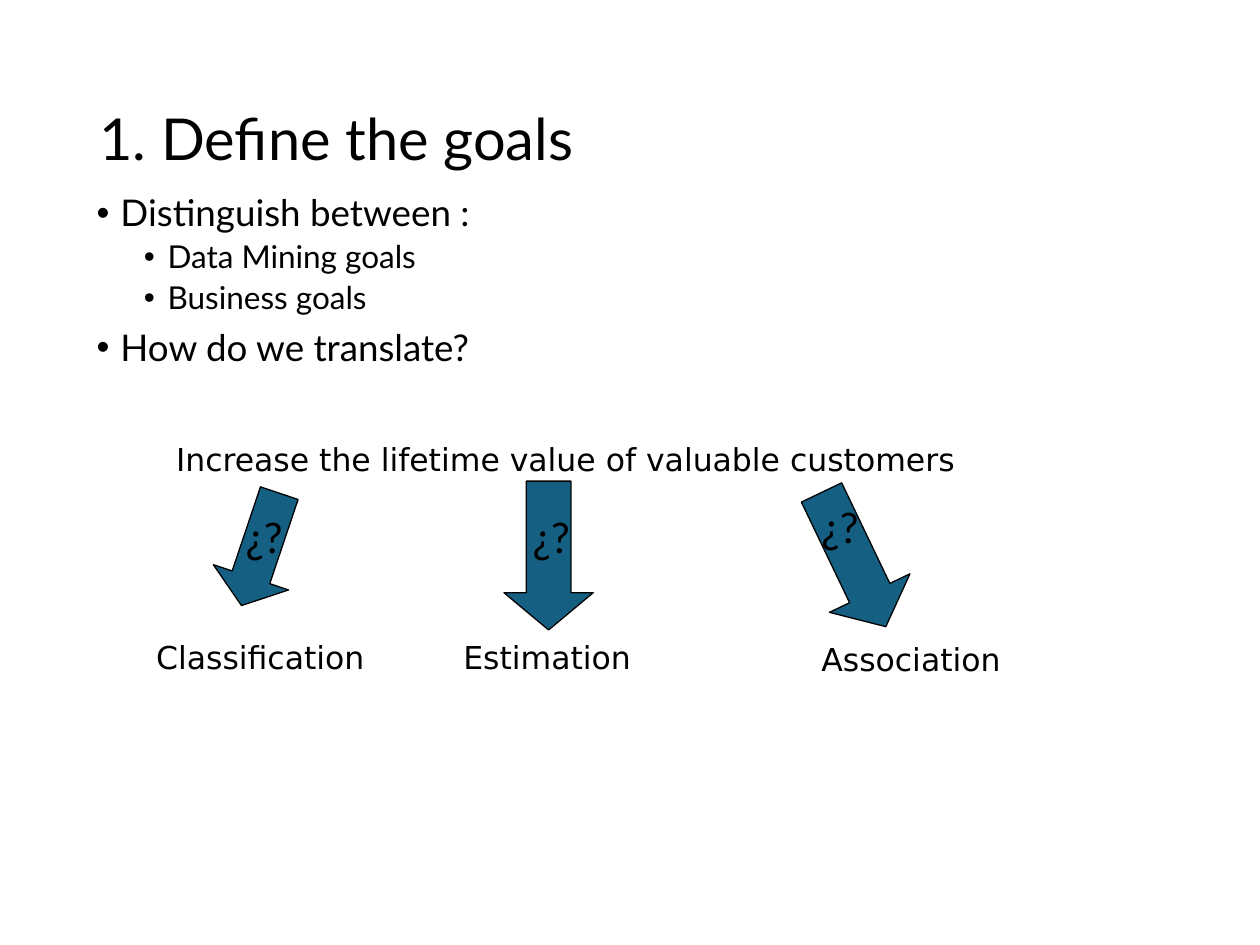
from dataclasses import dataclass

from lxml.etree import SubElement
from pptx import Presentation
from pptx.dml.color import RGBColor
from pptx.enum.shapes import MSO_SHAPE
from pptx.enum.text import MSO_ANCHOR, MSO_AUTO_SIZE, PP_ALIGN
from pptx.oxml.ns import qn
from pptx.util import Cm, Pt

COLORS = {"text": "000000", "arrow": "156082", "outline": "000000"}
HEADING_FONT = "Lato"
LABEL_FONT = "DejaVu Sans"


@dataclass(frozen=True)
class Box:
    """A frame in centimetres."""
    left: float
    top: float
    width: float
    height: float

    def lengths(self) -> tuple:
        return tuple(Cm(value) for value in (self.left, self.top, self.width, self.height))


@dataclass(frozen=True)
class Label:
    text: str
    box: Box
    size: int = 18
    font: str = LABEL_FONT


@dataclass(frozen=True)
class Arrow:
    box: Box
    rotation: float = 0
    head: float = 0.417


@dataclass(frozen=True)
class Bullet:
    text: str
    level: int = 0


@dataclass(frozen=True)
class BulletStyle:
    size: int
    space_before: float
    indent: float


TITLE_BOX = Box(1.75, 1.02, 21.9, 3.68)
BODY_BOX = Box(1.7, 3.81, 22.61, 4.52)
HANGING = 0.48
BULLET_STYLES = [BulletStyle(21, 7.5, HANGING), BulletStyle(18, 3.8, 1.43)]
BULLETS = [
    Bullet("Distinguish between :"),
    Bullet("Data Mining goals", 1),
    Bullet("Business goals", 1),
    Bullet("How do we translate?"),
]
ARROWS = [
    Arrow(Box(4.45, 9.88, 1.6, 2.39), 18.6, 0.375),
    Arrow(Box(10.16, 9.7, 1.8, 3)),
    Arrow(Box(16.31, 9.78, 1.8, 3), 334.4),
]
TASK_LABELS = [
    Label("Classification", Box(2.9, 12.73, 6.2, 1.27)),
    Label("Estimation", Box(9.09, 12.73, 5.21, 1.09)),
    Label("Association", Box(16.31, 12.78, 6.22, 1.27)),
]
QUESTION_MARKS = [
    Label("¿?", Box(left, top, 2.01, 1.27), 24, HEADING_FONT)
    for left, top in [(4.7, 10.19), (10.49, 10.19), (16.31, 9.98)]
]
BUSINESS_GOAL = Label(
    "Increase the lifetime value of valuable customers", Box(3.3, 8.74, 17.81, 2.01)
)


def apply_format(target, values: dict) -> None:
    for name, value in values.items():
        setattr(target, name, value)


def write_run(paragraph, text: str, size: int, font: str) -> None:
    run = paragraph.add_run()
    run.text = text
    apply_format(run.font, {"size": Pt(size), "name": font})
    run.font.color.rgb = RGBColor.from_string(COLORS["text"])


def add_text_frame(slide, box: Box):
    text_frame = slide.shapes.add_textbox(*box.lengths()).text_frame
    text_frame.word_wrap = True
    return text_frame


def add_title(slide, text: str) -> None:
    title = slide.shapes.title
    apply_format(title, dict(zip(("left", "top", "width", "height"), TITLE_BOX.lengths())))
    apply_format(title.text_frame, {
        "vertical_anchor": MSO_ANCHOR.MIDDLE,
        "auto_size": MSO_AUTO_SIZE.NONE,
        "word_wrap": True,
    })
    paragraph = title.text_frame.paragraphs[0]
    apply_format(paragraph, {"alignment": PP_ALIGN.LEFT, "line_spacing": 0.9})
    write_run(paragraph, text, 33, HEADING_FONT)


def add_bullets(slide, bullets: list[Bullet]) -> None:
    text_frame = add_text_frame(slide, BODY_BOX)
    for index, bullet in enumerate(bullets):
        paragraph = text_frame.add_paragraph() if index else text_frame.paragraphs[0]
        style = BULLET_STYLES[bullet.level]
        apply_format(paragraph, {
            "level": bullet.level,
            "line_spacing": 0.9,
            "space_before": Pt(style.space_before),
        })
        properties = paragraph._p.get_or_add_pPr()
        properties.set("marL", str(Cm(style.indent)))
        properties.set("indent", str(-Cm(HANGING)))
        SubElement(properties, qn("a:buFont"), typeface="Arial")
        SubElement(properties, qn("a:buChar"), char="•")
        write_run(paragraph, bullet.text, style.size, HEADING_FONT)


def add_label(slide, label: Label) -> None:
    text_frame = add_text_frame(slide, label.box)
    write_run(text_frame.paragraphs[0], label.text, label.size, label.font)


def add_arrow(slide, arrow: Arrow) -> None:
    shape = slide.shapes.add_shape(MSO_SHAPE.DOWN_ARROW, *arrow.box.lengths())
    shape.rotation = arrow.rotation
    shape.shadow.inherit = False
    shape.adjustments[0] = 0.5
    shape.adjustments[1] = arrow.head
    shape.fill.solid()
    shape.fill.fore_color.rgb = RGBColor.from_string(COLORS["arrow"])
    shape.line.color.rgb = RGBColor.from_string(COLORS["outline"])
    shape.line.width = Pt(0.75)


def main() -> None:
    presentation = Presentation()
    apply_format(presentation, {"slide_width": Cm(25.4), "slide_height": Cm(19.05)})
    slide = presentation.slides.add_slide(presentation.slide_layouts.get_by_name("Title Only"))
    add_title(slide, "1. Define the goals")
    add_bullets(slide, BULLETS)
    for arrow in ARROWS:
        add_arrow(slide, arrow)
    for label in [*TASK_LABELS, *QUESTION_MARKS, BUSINESS_GOAL]:
        add_label(slide, label)
    presentation.save("out.pptx")


if __name__ == "__main__":
    main()
